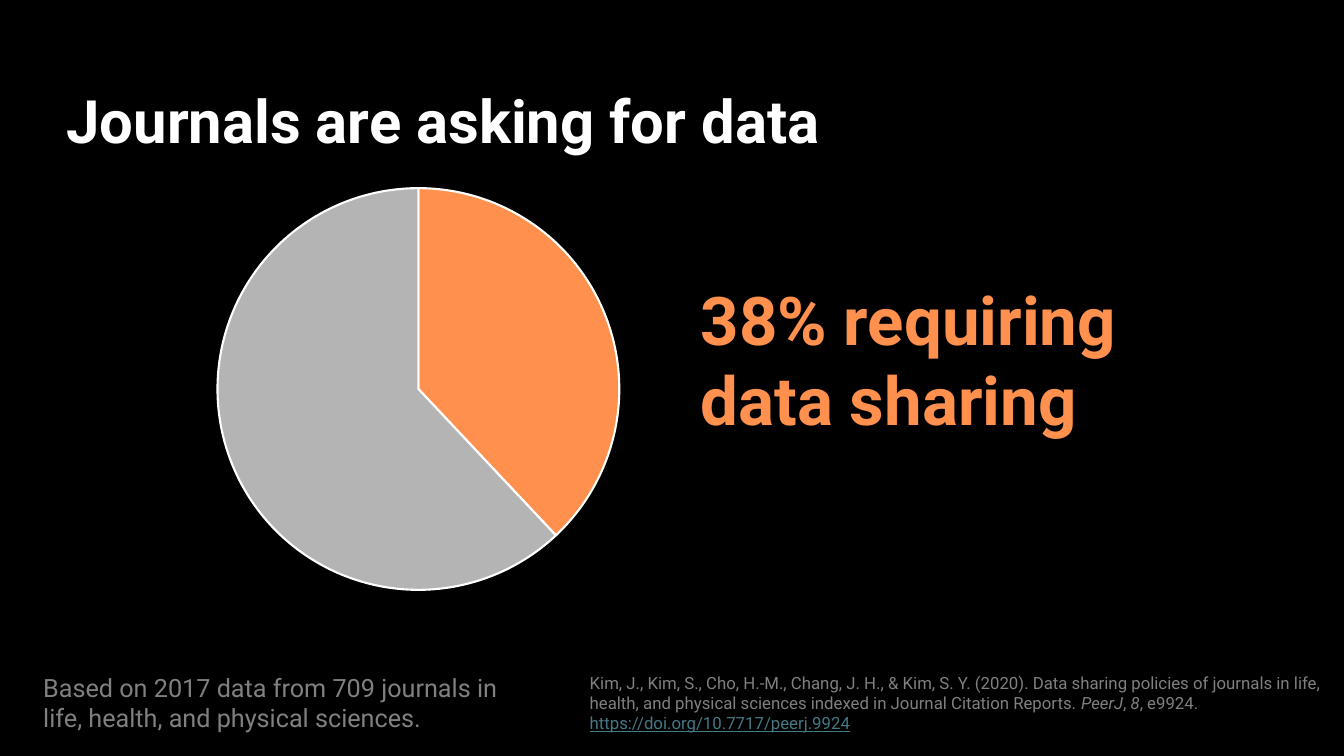
from dataclasses import dataclass

from lxml import etree
from pptx import Presentation
from pptx.chart.data import CategoryChartData
from pptx.dml.color import RGBColor
from pptx.enum.chart import XL_CHART_TYPE as ChartType
from pptx.enum.text import MSO_ANCHOR as Anchor, MSO_AUTO_SIZE as AutoSize, PP_ALIGN as Align
from pptx.oxml import parse_xml
from pptx.oxml.ns import nsdecls, qn
from pptx.util import Inches, Pt


@dataclass(frozen=True)
class Theme:
    font: str = "Roboto"
    background: str = "000000"
    light: str = "FFFFFF"
    accent: str = "FF904D"
    rest: str = "B4B4B4"
    muted: str = "808080"
    address: str = "467886"
    title_size: float = 42.7
    callout_size: float = 48
    note_size: float = 18
    citation_size: float = 12
    chart_size: float = 10


def rgb(color):
    return RGBColor.from_string(color)


class SlideBuilder:
    def __init__(self, presentation, theme):
        self.theme = theme
        self.slide = presentation.slides.add_slide(presentation.slide_layouts[5])
        fill = self.slide.background.fill
        fill.solid()
        fill.fore_color.rgb = rgb(theme.background)

    def fill_text(self, shape, runs, size, color, inset, bold=False):
        """Write runs of (text, font overrides); a newline becomes a line break."""
        frame = shape.text_frame
        frame.word_wrap = True
        frame.auto_size = AutoSize.NONE
        frame.vertical_anchor = Anchor.TOP
        frame.margin_left = frame.margin_right = Inches(0.1)
        frame.margin_top = frame.margin_bottom = Inches(inset)
        paragraph = frame.paragraphs[0]
        paragraph.alignment = Align.LEFT
        for text, overrides in runs:
            for index, line in enumerate(text.split("\n")):
                if index:
                    paragraph.add_line_break()
                run = paragraph.add_run()
                run.text = line
                font = run.font
                font.name = self.theme.font
                font.size = Pt(size)
                font.bold = bold
                font.italic = overrides.get("italic", False)
                font.underline = overrides.get("underline", False)
                font.color.rgb = rgb(overrides.get("color", color))

    def title(self, text, left, top, width, height):
        shape = self.slide.shapes.title
        shape.left, shape.top = Inches(left), Inches(top)
        shape.width, shape.height = Inches(width), Inches(height)
        self.fill_text(shape, [(text, {})], self.theme.title_size, self.theme.light, 0.1, bold=True)

    def text(self, runs, left, top, width, height, size, color, inset=0.05, bold=False):
        shape = self.slide.shapes.add_textbox(Inches(left), Inches(top), Inches(width), Inches(height))
        self.fill_text(shape, runs, size, color, inset, bold)

    def pie(self, values, colors, left, top, width, height):
        data = CategoryChartData()
        data.categories = [str(number) for number in range(1, len(values) + 1)]
        data.add_series("Series 1", values)
        chart = self.slide.shapes.add_chart(
            ChartType.PIE, Inches(left), Inches(top), Inches(width), Inches(height), data
        ).chart
        chart.has_legend = False
        chart.has_title = False
        chart.font.name = self.theme.font
        chart.font.size = Pt(self.theme.chart_size)
        chart.font.color.rgb = rgb(self.theme.background)
        plot = chart.plots[0]
        plot.vary_by_categories = True
        for index, color in enumerate(colors):
            slice_format = plot.series[0].points[index].format
            slice_format.fill.solid()
            slice_format.fill.fore_color.rgb = rgb(color)
            slice_format.line.color.rgb = rgb(self.theme.light)
            slice_format.line.width = Pt(1.5)
        self.fit_plot(chart, 0.03, 0.94)

    def fit_plot(self, chart, offset, extent):
        """Place the plot inside the chart by fractions of the chart's size."""
        layout = parse_xml(f"<c:layout {nsdecls('c')}/>")
        manual = etree.SubElement(layout, qn("c:manualLayout"))
        settings = [("layoutTarget", "inner"), ("xMode", "edge"), ("yMode", "edge"),
                    ("x", offset), ("y", offset), ("w", extent), ("h", extent)]
        for name, value in settings:
            etree.SubElement(manual, qn(f"c:{name}")).set("val", str(value))
        plot_area = chart.element.find(f".//{qn('c:plotArea')}")
        previous = plot_area.find(qn("c:layout"))
        if previous is not None:
            plot_area.remove(previous)
        plot_area.insert(0, layout)


def main():
    presentation = Presentation()
    presentation.slide_width = Inches(13.33)
    presentation.slide_height = Inches(7.5)
    theme = Theme()
    builder = SlideBuilder(presentation, theme)

    builder.title("Journals are asking for data", 0.56, 0.73, 8.09, 1)
    builder.pie((38, 62), (theme.accent, theme.rest), 2.03, 1.73, 4.24, 4.26)
    builder.text(
        [("Based on 2017 data from 709 journals in life, health, and physical sciences.", {})],
        0.33, 6.62, 5.08, 0.71, theme.note_size, theme.muted,
    )
    citation = [
        ("Kim, J., Kim, S., Cho, H.-M., Chang, J. H., & Kim, S. Y. (2020). Data sharing policies of "
         "journals in life, health, and physical sciences indexed in Journal Citation Reports. ", {}),
        ("PeerJ", {"italic": True}),
        (", ", {}),
        ("8", {"italic": True}),
        (", e9924. ", {}),
        ("https://doi.org/10.7717/peerj.9924", {"color": theme.address, "underline": True}),
    ]
    builder.text(citation, 5.75, 6.62, 7.58, 0.71, theme.citation_size, theme.muted)
    builder.text(
        [("38% requiring\ndata sharing", {})],
        6.85, 2.66, 5.05, 1.77, theme.callout_size, theme.accent, inset=0.1, bold=True,
    )
    presentation.save("out.pptx")


if __name__ == "__main__":
    main()
